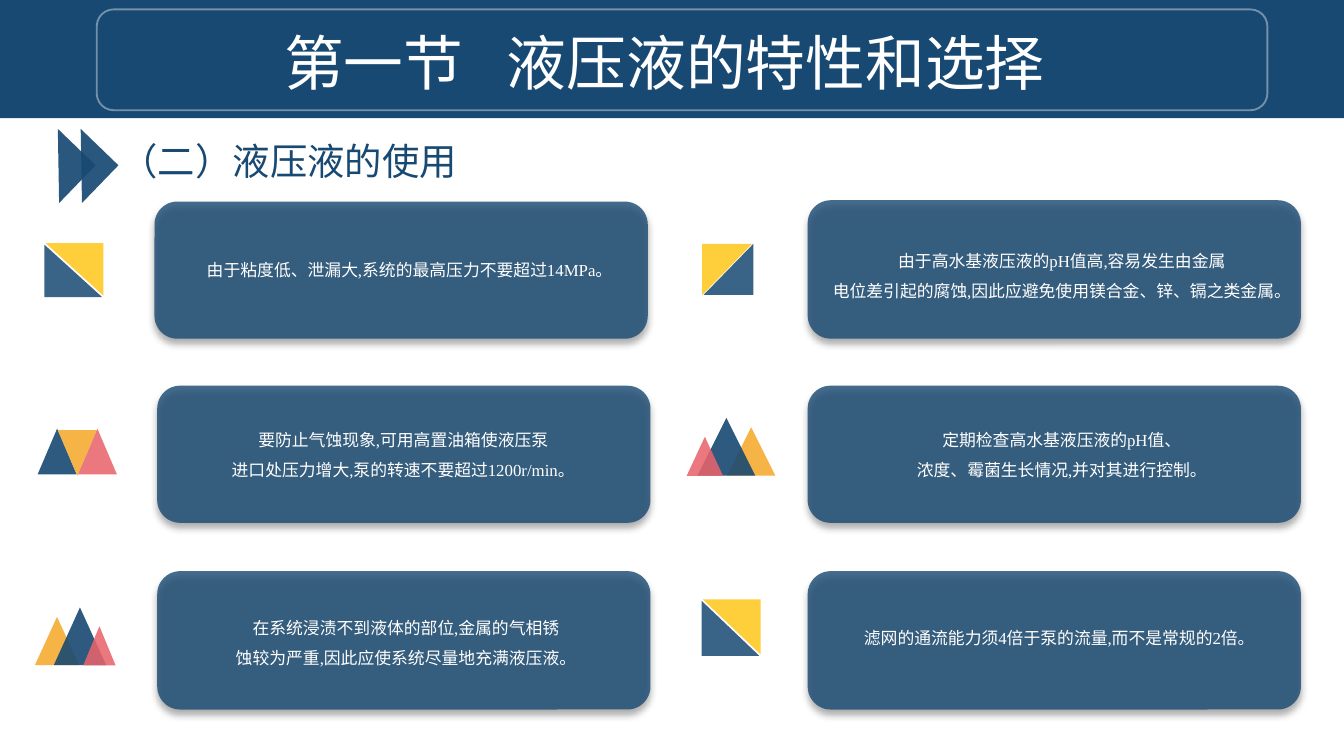
from typing import NamedTuple

from lxml.etree import SubElement
from pptx import Presentation
from pptx.dml.color import RGBColor
from pptx.enum.shapes import MSO_SHAPE
from pptx.enum.text import MSO_AUTO_SIZE, PP_ALIGN
from pptx.oxml.ns import qn
from pptx.util import Inches, Pt

FONT = "Times New Roman"
COLORS = {
    "navy": "184972",
    "gold": "FFC000",
    "amber": "F49F14",
    "rose": "E8646B",
    "white": "FFFFFF",
    "black": "000000",
}


class Box(NamedTuple):
    x: float
    y: float
    w: float
    h: float


class Part(NamedTuple):
    box: Box
    color: str
    alpha: int
    turn: int = 0
    corner: bool = False  # apex above the left end of the base


class Text(NamedTuple):
    box: Box
    lines: tuple[str, ...]
    size: int = 9
    color: str = "white"
    center: bool = True
    space: float = 1.0
    gap: int = 0  # points added to the first word space


class Card(NamedTuple):
    box: Box
    text: Text


def fade(paint, alpha: int) -> None:
    """Make a solid fill partly transparent."""
    tone = paint._xPr.find(qn("a:solidFill"))[0]
    SubElement(tone, qn("a:alpha"), val=str(alpha * 1000))


def draw(shapes, kind, box: Box, color: str, alpha: int = 100):
    shape = shapes.add_shape(kind, *map(Inches, box))
    shape.shadow.inherit = False
    shape.line.fill.background()
    shape.fill.solid()
    shape.fill.fore_color.rgb = RGBColor.from_string(COLORS[color])
    if alpha < 100:
        fade(shape.fill, alpha)
    return shape


def icon(shapes, parts: tuple[Part, ...]) -> None:
    group = shapes.add_group_shape()
    for part in parts:
        shape = draw(group.shapes, MSO_SHAPE.ISOSCELES_TRIANGLE,
                     part.box, part.color, part.alpha)
        shape.rotation = part.turn
        if part.corner:
            shape.adjustments[0] = 0


def panel(shapes, box: Box) -> None:
    shape = draw(shapes, MSO_SHAPE.ROUNDED_RECTANGLE, box, "navy", 80)
    effects = shape._element.spPr.find(qn("a:effectLst"))
    shade = SubElement(effects, qn("a:outerShdw"), blurRad=str(Pt(4)),
                       dist=str(Pt(3)), dir="5400000", rotWithShape="0")
    tone = SubElement(shade, qn("a:srgbClr"), val=COLORS["black"])
    SubElement(tone, qn("a:alpha"), val="40000")


def widen(para, gap: int) -> None:
    """Stretch the first word space with character spacing."""
    head, blank, tail = para.text.partition(" ")
    para.text = head
    for piece in (blank, tail):
        para.add_run().text = piece
    para.runs[1]._r.get_or_add_rPr().set("spc", str(gap * 100))


def write(shapes, text: Text) -> None:
    frame = shapes.add_textbox(*map(Inches, text.box)).text_frame
    frame.word_wrap = True
    frame.auto_size = MSO_AUTO_SIZE.SHAPE_TO_FIT_TEXT
    frame.text = "\n".join(text.lines)
    for para in frame.paragraphs:
        para.alignment = PP_ALIGN.CENTER if text.center else PP_ALIGN.LEFT
        para.line_spacing = text.space
        if text.gap:
            widen(para, text.gap)
        for run in para.runs:
            run.font.name = FONT
            run.font.size = Pt(text.size)
            run.font.color.rgb = RGBColor.from_string(COLORS[text.color])


def split(x: float, y: float, w: float, h: float, turn: int = 0) -> tuple[Part, ...]:
    """Square cut along its diagonal into a navy and a gold half."""
    gap = -0.01 if turn else 0.01
    return (
        Part(Box(x, y, w, h), "navy", 85, turn, True),
        Part(Box(x + gap, y - max(gap, 0), w, h), "gold", 77, (turn + 180) % 360, True),
    )


ICONS = (
    split(5.23, 1.82, 0.38, 0.37, 270),
    split(0.33, 1.82, 0.43, 0.39),
    # Three peaks, lower left
    (
        Part(Box(0.26, 4.59, 0.33, 0.36), "amber", 78),
        Part(Box(0.4, 4.52, 0.39, 0.43), "navy", 90),
        Part(Box(0.62, 4.66, 0.24, 0.29), "rose", 87),
    ),
    # Trapezoid of three triangles
    (
        Part(Box(0.28, 3.19, 0.29, 0.34), "navy", 90),
        Part(Box(0.58, 3.19, 0.29, 0.34), "rose", 87),
        Part(Box(0.43, 3.2, 0.29, 0.34), "amber", 78, 180),
    ),
    # Three peaks, middle right
    (
        Part(Box(5.41, 3.18, 0.36, 0.36), "amber", 78),
        Part(Box(5.19, 3.11, 0.43, 0.43), "navy", 90),
        Part(Box(5.11, 3.25, 0.27, 0.29), "rose", 87),
    ),
    split(5.22, 4.47, 0.43, 0.41),
)

CARDS = (
    Card(Box(1.15, 1.5, 3.67, 1.02), Text(Box(1.44, 1.88, 3.24, 0.25), (
        "由于粘度低、泄漏大,系统的最高压力不要超过14MPa。",), center=False)),
    Card(Box(1.17, 2.87, 3.67, 1.02), Text(Box(1.61, 3.07, 2.78, 0.56), (
        "要防止气蚀现象,可用高置油箱使液压泵",
        "进口处压力增大,泵的转速不要超过1200r/min。"), space=1.5)),
    Card(Box(1.17, 4.25, 3.67, 1.03), Text(Box(1.64, 4.47, 2.76, 0.56), (
        "在系统浸渍不到液体的部位,金属的气相锈",
        "蚀较为严重,因此应使系统尽量地充满液压液。"), space=1.5)),
    Card(Box(6.01, 1.49, 3.67, 1.03), Text(Box(5.4, 1.74, 5, 0.56), (
        "由于高水基液压液的pH值高,容易发生由金属",
        "电位差引起的腐蚀,因此应避免使用镁合金、锌、镉之类金属。"), space=1.5)),
    Card(Box(6.01, 2.87, 3.67, 1.02), Text(Box(6.71, 3.07, 2.38, 0.56), (
        "定期检查高水基液压液的pH值、",
        "浓度、霉菌生长情况,并对其进行控制。"), space=1.5)),
    Card(Box(6.01, 4.25, 3.67, 1.03), Text(Box(6.33, 4.62, 3.13, 0.25), (
        "滤网的通流能力须4倍于泵的流量,而不是常规的2倍。",), center=False)),
)


def main() -> None:
    deck = Presentation()
    deck.slide_width = Inches(10)
    deck.slide_height = Inches(10 * 9 / 16)
    shapes = deck.slides.add_slide(deck.slide_layouts[6]).shapes

    # Icons and cards
    for parts in ICONS:
        icon(shapes, parts)
    for card in CARDS:
        panel(shapes, card.box)

    # Title band with its thin frame
    draw(shapes, MSO_SHAPE.RECTANGLE, Box(0, 0, 10, 0.88), "navy")
    frame = draw(shapes, MSO_SHAPE.ROUNDED_RECTANGLE, Box(0.72, 0.07, 8.71, 0.75), "white")
    frame.fill.background()
    frame.line.width = Pt(1)
    frame.line.color.rgb = RGBColor.from_string(COLORS["white"])
    fade(frame.line.fill, 40)
    write(shapes, Text(Box(0.77, 0.14, 8.35, 0.64), ("第一节 液压液的特性和选择",), 32, gap=16))

    # Card texts
    for card in CARDS:
        write(shapes, card.text)

    # Section heading with its double arrow
    for x in (0.24, 0.41):
        arrow = draw(shapes, MSO_SHAPE.RIGHT_TRIANGLE, Box(x, 1.04, 0.39, 0.39), "navy", 92)
        arrow.rotation = 224
    write(shapes, Text(Box(0.77, 0.98, 2.76, 0.44), ("（二）液压液的使用",), 20, "navy"))

    deck.save("out.pptx")


if __name__ == "__main__":
    main()
